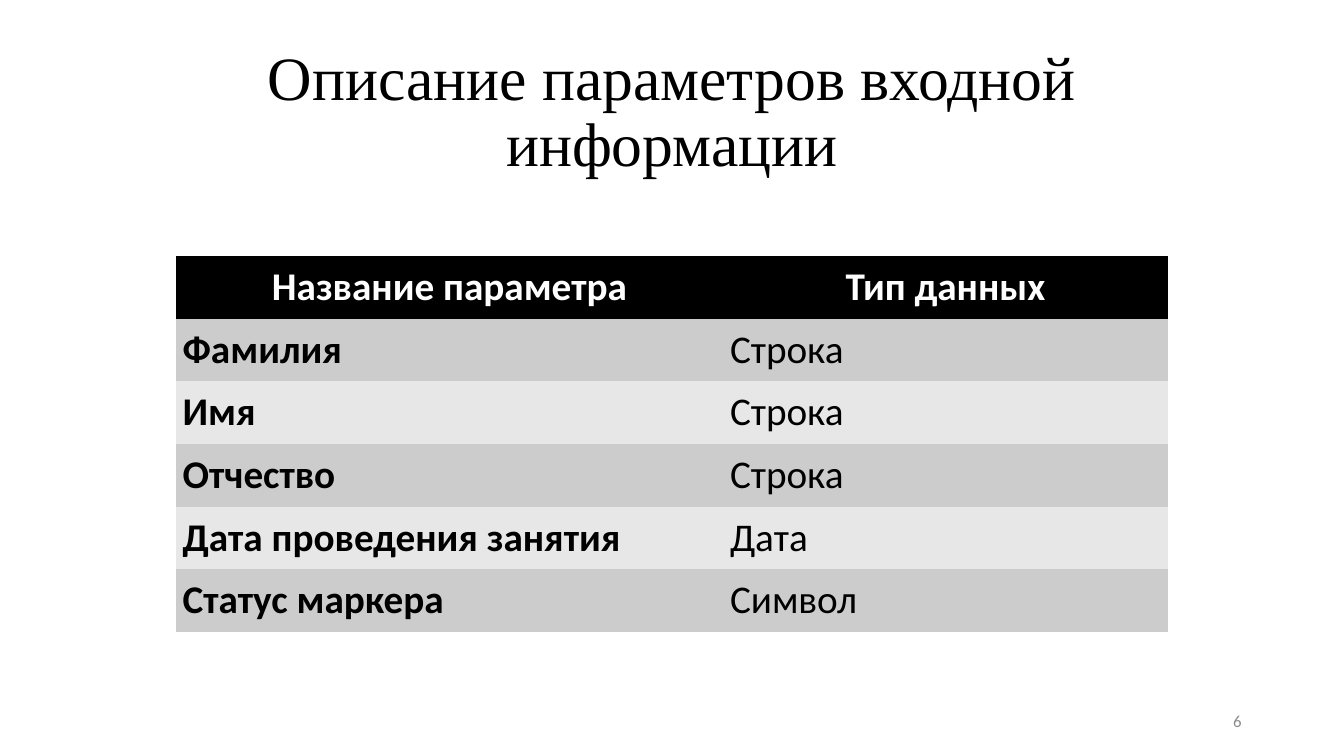
import dataclasses

import pptx
import pptx.dml.color
import pptx.enum.text
import pptx.util

Pt = pptx.util.Pt
Align = pptx.enum.text.PP_ALIGN
Anchor = pptx.enum.text.MSO_ANCHOR


@dataclasses.dataclass(frozen=True)
class Theme:
    serif: str = "Times New Roman"
    sans: str = "Calibri"
    black: str = "000000"
    white: str = "FFFFFF"
    gray: str = "8C8C8C"
    bands: tuple = ("CCCCCC", "E7E7E7")
    title: int = 44
    body: int = 28
    small: int = 12


THEME = Theme()
PLAIN = "{2D5ABB26-0587-4C30-8999-92F81FD0307C}"
HEAD = ("Название параметра", "Тип данных")
ROWS = (
    ("Фамилия", "Строка"),
    ("Имя", "Строка"),
    ("Отчество", "Строка"),
    ("Дата проведения занятия", "Дата"),
    ("Статус маркера", "Символ"),
)


def color(value):
    return pptx.dml.color.RGBColor.from_string(value)


def write(frame, text, font, size, tint, align, bold=False):
    para = frame.paragraphs[0]
    para.alignment = align
    run = para.add_run()
    run.text = text
    run.font.name = font
    run.font.size = Pt(size)
    run.font.bold = bold
    run.font.color.rgb = color(tint)
    return para


def place(shape, left, top, width, height):
    shape.left, shape.top = Pt(left), Pt(top)
    shape.width, shape.height = Pt(width), Pt(height)


def add_title(slide, text):
    title = slide.shapes.title
    place(title, 66, 28.75, 828, 104.4)
    frame = title.text_frame
    frame.auto_size = pptx.enum.text.MSO_AUTO_SIZE.NONE
    frame.word_wrap = True
    frame.vertical_anchor = Anchor.MIDDLE
    para = write(frame, text, THEME.serif, THEME.title, THEME.black, Align.CENTER)
    para.line_spacing = 0.9


def add_number(slide, text):
    box = slide.shapes.add_textbox(Pt(678), Pt(500.5), Pt(216), Pt(28.75))
    frame = box.text_frame
    frame.word_wrap = True
    frame.vertical_anchor = Anchor.MIDDLE
    write(frame, text, THEME.sans, THEME.small, THEME.gray, Align.RIGHT)


def fill_cell(cell, text, fill, tint, align, anchor, bold):
    cell.fill.solid()
    cell.fill.fore_color.rgb = color(fill)
    cell.margin_left = cell.margin_right = Pt(5)
    cell.margin_top = cell.margin_bottom = Pt(5)
    cell.vertical_anchor = anchor
    write(cell.text_frame, text, THEME.sans, THEME.body, tint, align, bold)


def add_grid(slide, head, rows, widths, height):
    count = len(rows) + 1
    holder = slide.shapes.add_table(
        count, len(head), Pt(125.5), Pt(182.9), Pt(sum(widths)), Pt(height * count)
    )
    holder.element.xpath(".//a:tableStyleId")[0].text = PLAIN
    table = holder.table
    table.horz_banding = False
    for col, width in zip(table.columns, widths):
        col.width = Pt(width)
    for row in table.rows:
        row.height = Pt(height)
    for c, text in enumerate(head):
        fill_cell(table.cell(0, c), text, THEME.black, THEME.white,
                  Align.CENTER, Anchor.TOP, True)
    for r, row in enumerate(rows):
        fill = THEME.bands[r % 2]
        for c, text in enumerate(row):
            fill_cell(table.cell(r + 1, c), text, fill, THEME.black,
                      Align.LEFT, Anchor.MIDDLE, c == 0)


def main():
    deck = pptx.Presentation()
    deck.slide_width, deck.slide_height = Pt(960), Pt(540)
    slide = deck.slides.add_slide(deck.slide_layouts[5])
    add_title(slide, "Описание параметров входной информации")
    add_number(slide, "6")
    add_grid(slide, HEAD, ROWS, (391, 317.75), 44.75)
    deck.save("out.pptx")


if __name__ == "__main__":
    main()
